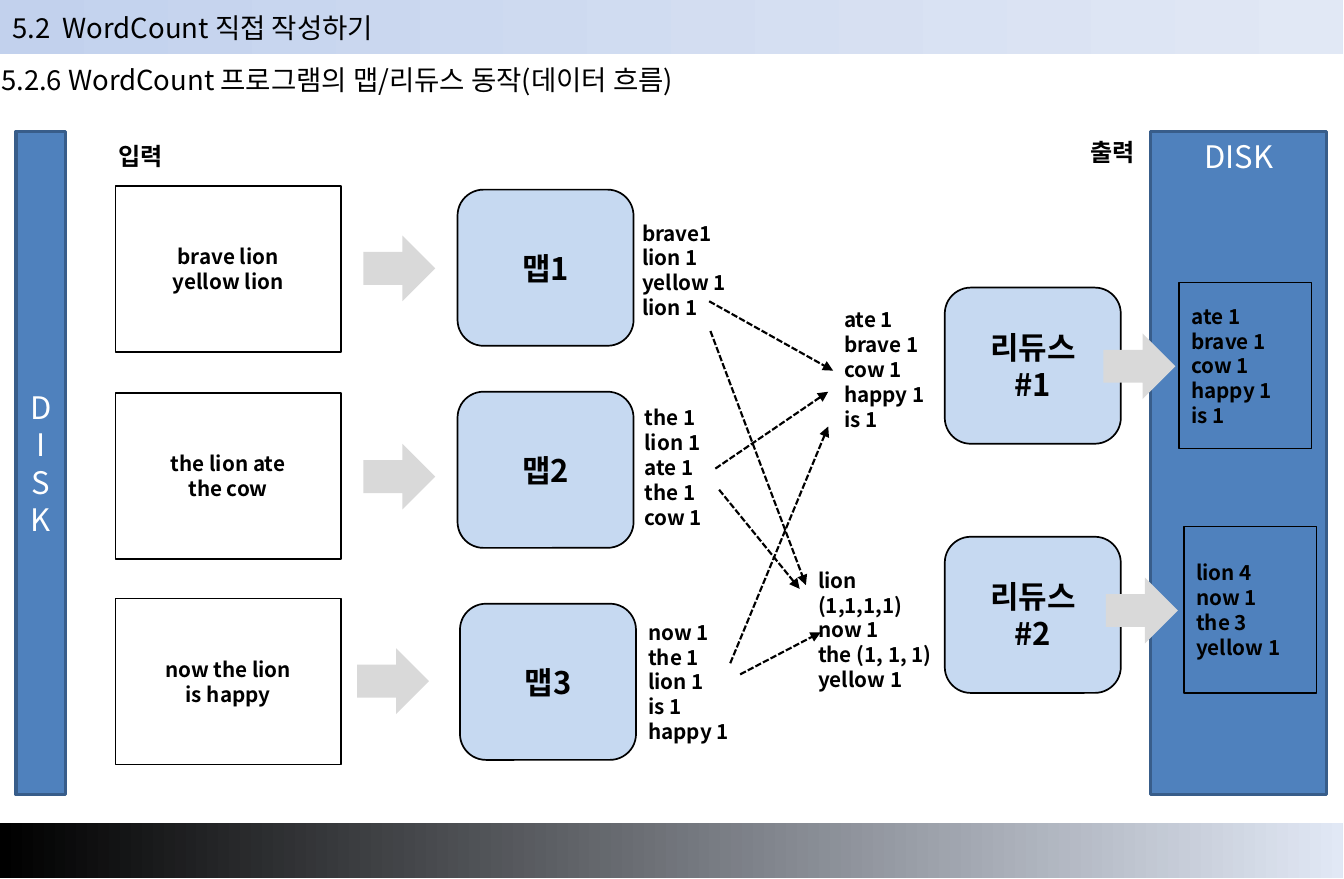
from dataclasses import dataclass

from lxml import etree
from pptx import Presentation
from pptx import util as u
from pptx.dml.color import RGBColor
from pptx.enum import dml, shapes, text
from pptx.oxml import ns

FONT = "Noto Sans CJK KR"
COLORS = {
    "black": "000000", "white": "FFFFFF", "band_start": "C2D1ED",
    "band_end": "E1E8F5", "task": "C6D9F1", "store": "4F81BD",
    "store_edge": "385D8A", "arrow": "D9D9D9",
}
SHAPE = shapes.MSO_SHAPE
LEFT, CENTER = text.PP_ALIGN.LEFT, text.PP_ALIGN.CENTER
TOP, MIDDLE = text.MSO_ANCHOR.TOP, text.MSO_ANCHOR.MIDDLE


@dataclass
class Style:
    kind: int
    width: float
    height: float
    fill: str | None = None
    edge: str | None = None
    edge_width: float = 1
    size: int = 12
    color: str = "black"
    bold: bool = True
    align: int = CENTER
    anchor: int = MIDDLE


@dataclass
class Block:
    style: Style
    left: float
    top: float
    words: str = ""


@dataclass
class Label:
    left: float
    top: float
    width: float
    height: float
    words: str
    size: int = 12
    wrap: bool = False


@dataclass
class Flow:
    start: tuple[float, float]
    end: tuple[float, float]


TASK = Style(SHAPE.ROUNDED_RECTANGLE, 1.42, 1.26, "task", "black", size=18)
ARROW = Style(SHAPE.RIGHT_ARROW, 0.58, 0.53, "arrow")
INPUT = Style(SHAPE.RECTANGLE, 1.82, 1.34, None, "black", 0.75)
OUTPUT = Style(SHAPE.RECTANGLE, 1.07, 1.34, None, "black", 0.75, align=LEFT)
SOURCE = Style(SHAPE.RECTANGLE, 0.4, 5.35, "store", "store_edge", 2, 18, "white", False)
TARGET = Style(SHAPE.RECTANGLE, 1.42, 5.35, "store", "store_edge", 2, 18, "white", False,
               anchor=TOP)

BLOCKS = [
    Block(SOURCE, 0.13, 1.06, "DISK"),
    Block(TARGET, 9.28, 1.06, "DISK"),
    Block(INPUT, 0.93, 1.5, "brave lion\nyellow lion"),
    Block(INPUT, 0.93, 3.17, "the lion ate\nthe cow"),
    Block(INPUT, 0.93, 4.83, "now the lion\nis happy"),
    Block(ARROW, 2.93, 1.9),
    Block(ARROW, 2.93, 3.58),
    Block(ARROW, 2.88, 5.23),
    Block(TASK, 3.69, 1.53, "맵1"),
    Block(TASK, 3.69, 3.16, "맵2"),
    Block(TASK, 3.71, 4.87, "맵3"),
    Block(TASK, 7.62, 2.32, "리듀스\v#1"),
    Block(TASK, 7.62, 4.33, "리듀스\v#2"),
    Block(ARROW, 8.9, 2.69),
    Block(ARROW, 8.92, 4.66),
    Block(OUTPUT, 9.51, 2.28, "ate 1\nbrave 1\ncow 1\nhappy 1\nis 1"),
    Block(OUTPUT, 9.55, 4.25, "lion 4\nnow 1\nthe 3\nyellow 1"),
]
LABELS = [
    Label(0.86, 1.09, 0.56, 0.34, "입력", 14),
    Label(8.7, 1.06, 0.56, 0.34, "출력", 14),
    Label(5.08, 1.73, 0.88, 0.9, "brave1\nlion 1\nyellow 1\nlion 1"),
    Label(5.1, 3.22, 0.67, 1.1, "the 1\nlion 1\nate 1\nthe 1\ncow 1"),
    Label(5.13, 4.95, 0.85, 1.1, "now 1\nthe 1\nlion 1\nis 1\nhappy 1"),
    Label(6.71, 2.43, 0.85, 1.1, "ate 1\nbrave 1\ncow 1\nhappy 1\nis 1"),
    Label(6.5, 4.53, 1.19, 0.9, "lion\v(1,1,1,1)\nnow 1\nthe (1, 1, 1)\nyellow 1", wrap=True),
]
FLOWS = [
    Flow((5.72, 2.43), (6.72, 2.99)),
    Flow((5.73, 2.67), (6.5, 4.72)),
    Flow((5.77, 3.78), (6.68, 3.16)),
    Flow((5.8, 3.95), (6.45, 4.75)),
    Flow((5.89, 5.35), (6.68, 3.44)),
    Flow((5.97, 5.44), (6.62, 5.1)),
]


def rgb(name: str) -> RGBColor:
    return RGBColor.from_string(COLORS[name])


def write(box, words: str, size: int, color: str = "black", bold: bool = False,
          align: int = LEFT, anchor: int = TOP, wrap: bool = True) -> None:
    frame = box.text_frame
    frame.text = words
    frame.word_wrap = wrap
    frame.auto_size = text.MSO_AUTO_SIZE.NONE
    frame.vertical_anchor = anchor
    for para in frame.paragraphs:
        para.alignment = align
        para.space_before = u.Pt(0)
        for span in para.runs:
            font = span.font
            font.name, font.size, font.bold = FONT, u.Pt(size), bold
            font.color.rgb = rgb(color)
            east_asian = etree.SubElement(font._element, ns.qn("a:ea"))
            east_asian.set("typeface", FONT)


def place_heading(box, left: float, top: float, width: float, words: str, wrap: bool) -> None:
    """Move a placeholder and turn it into one plain line without a bullet."""
    box.left, box.top = u.Inches(left), u.Inches(top)
    box.width, box.height = u.Inches(width), u.Inches(0.37)
    write(box, words, 16, wrap=wrap)
    props = box.text_frame.paragraphs[0]._p.get_or_add_pPr()
    props.set("marL", "0")
    props.set("indent", "0")
    etree.SubElement(props, ns.qn("a:buNone"))


def add_band(page, top: float, start_color: str) -> None:
    """Add a gradient band behind everything else."""
    band = page.shapes.add_shape(SHAPE.RECTANGLE, 0, u.Inches(top), u.Inches(10.83), u.Inches(0.44))
    band.shadow.inherit = False
    band.line.fill.background()
    band.fill.gradient()
    band.fill.gradient_angle = 0
    for stop, color, position in zip(band.fill.gradient_stops, (start_color, "band_end"), (0, 1)):
        stop.color.rgb = rgb(color)
        stop.position = position
    page.shapes._spTree.insert(2, band._element)


def add_block(page, block: Block) -> None:
    style = block.style
    box = page.shapes.add_shape(style.kind, u.Inches(block.left), u.Inches(block.top),
                                u.Inches(style.width), u.Inches(style.height))
    box.shadow.inherit = False
    if style.fill:
        box.fill.solid()
        box.fill.fore_color.rgb = rgb(style.fill)
    else:
        box.fill.background()
    if style.edge:
        box.line.color.rgb = rgb(style.edge)
        box.line.width = u.Pt(style.edge_width)
    else:
        box.line.fill.background()
    if block.words:
        write(box, block.words, style.size, style.color, style.bold, style.align, style.anchor)


def add_label(page, label: Label) -> None:
    box = page.shapes.add_textbox(u.Inches(label.left), u.Inches(label.top),
                                  u.Inches(label.width), u.Inches(label.height))
    write(box, label.words, label.size, bold=True, wrap=label.wrap)


def add_flow(page, flow: Flow) -> None:
    ends = [u.Inches(value) for value in flow.start + flow.end]
    connector = page.shapes.add_connector(shapes.MSO_CONNECTOR.STRAIGHT, *ends)
    line = connector.line
    line.color.rgb = rgb("black")
    line.width = u.Pt(1.25)
    line.dash_style = dml.MSO_LINE.SQUARE_DOT
    etree.SubElement(line._get_or_add_ln(), ns.qn("a:tailEnd")).set("type", "triangle")
    etree.SubElement(connector._element.spPr, ns.qn("a:effectLst"))


def main() -> None:
    deck = Presentation()
    deck.slide_width, deck.slide_height = u.Inches(10.84), u.Inches(7.09)
    page = deck.slides.add_slide(deck.slide_layouts[1])
    title, body = page.placeholders
    place_heading(title, 0, 0.04, 10.82, "5.2  WordCount 직접 작성하기", True)
    place_heading(body, -0.09, 0.46, 6.19,
                  "5.2.6 WordCount 프로그램의 맵/리듀스 동작(데이터 흐름)", False)
    add_band(page, 0, "band_start")
    add_band(page, 6.64, "black")
    for block in BLOCKS:
        add_block(page, block)
    for label in LABELS:
        add_label(page, label)
    for flow in FLOWS:
        add_flow(page, flow)
    deck.save("out.pptx")


if __name__ == "__main__":
    main()
